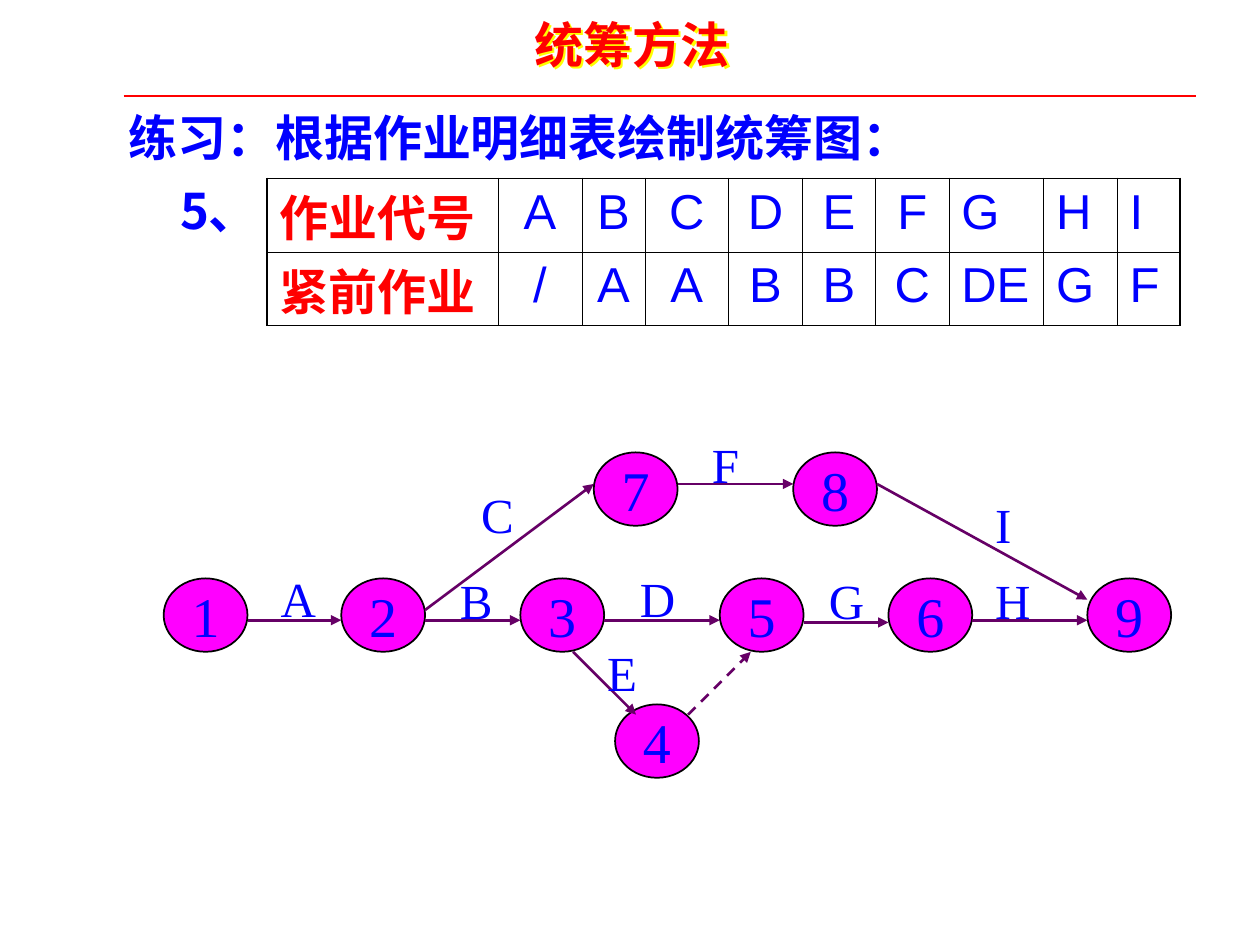
from lxml import etree
from pptx import Presentation
from pptx.dml.color import RGBColor
from pptx.enum.dml import MSO_LINE
from pptx.enum.shapes import MSO_CONNECTOR, MSO_SHAPE
from pptx.enum.text import MSO_ANCHOR, PP_ALIGN
from pptx.oxml import parse_xml
from pptx.oxml.ns import qn
from pptx.util import Cm, Pt

DASH = MSO_LINE.DASH
STRAIGHT = MSO_CONNECTOR.STRAIGHT
OVAL = MSO_SHAPE.OVAL
MIDDLE = MSO_ANCHOR.MIDDLE
LEFT, CENTER = PP_ALIGN.LEFT, PP_ALIGN.CENTER

RED, BLUE, BLACK, MAGENTA, PURPLE = "FF0000", "0000FF", "000000", "FF00FF", "660066"
CJK, SERIF, SANS = "Noto Sans CJK SC", "Times New Roman", "Arial"
NAMESPACE = 'xmlns:a="http://schemas.openxmlformats.org/drawingml/2006/main"'


def color(value):
    return RGBColor.from_string(value)


def write(frame, text, font=SERIF, size=28, fill=BLUE, bold=False, align=LEFT, wrap=False):
    frame.word_wrap = wrap
    para = frame.paragraphs[0]
    para.alignment = align
    span = para.add_run()
    span.text = text
    span.font.name = font
    span.font.size = Pt(size)
    span.font.bold = bold
    span.font.color.rgb = color(fill)
    # East Asian characters take their own typeface
    etree.SubElement(span.font._element, qn("a:ea")).set("typeface", CJK)
    return para


deck = Presentation()
deck.slide_width, deck.slide_height = Cm(25.4), Cm(19.05)
page = deck.slides.add_slide(deck.slide_layouts[6])

# Title, exercise heading and exercise number
headings = [
    ("统筹方法", 10.52, 0.16, 4.95, CJK, RED),
    ("练习：根据作业明细表绘制统筹图：", 2.34, 2.04, 17.2, SERIF, BLUE),
    ("5、", 3.38, 3.51, 2.92, CJK, BLUE),
]
for text, left, top, width, font, fill in headings:
    box = page.shapes.add_textbox(Cm(left), Cm(top), Cm(width), Cm(1.69))
    write(box.text_frame, text, font=font, fill=fill, bold=True)
    if text == "统筹方法":
        box._element.spPr.append(parse_xml(
            f'<a:effectLst {NAMESPACE}><a:outerShdw dist="25400" dir="2700000">'
            '<a:srgbClr val="FFFF00"/></a:outerShdw></a:effectLst>'))

# Activity table
rows = [
    ["作业代号", "A", "B", "C", "D", "E", "F", "G", "H", "I"],
    ["紧前作业", "/", "A", "A", "B", "B", "C", "DE", "G", "F"],
]
widths = [4.66, 1.69, 1.27, 1.69, 1.48, 1.48, 1.48, 1.91, 1.48, 1.27]
row_height = 1.48
last_row, last_column = len(rows) - 1, len(widths) - 1
table = page.shapes.add_table(len(rows), len(widths), Cm(5.38), Cm(3.6),
                              Cm(sum(widths)), Cm(row_height * len(rows))).table
table.first_row = table.horz_banding = False
for column, width in zip(table.columns, widths):
    column.width = Cm(width)
for r, row in enumerate(rows):
    table.rows[r].height = Cm(row_height)
    for c, text in enumerate(row):
        cell = table.cell(r, c)
        cell.fill.background()
        cell.margin_left = cell.margin_right = Cm(0.25)
        cell.margin_top = cell.margin_bottom = Cm(0.13)
        if c == 0:
            para = write(cell.text_frame, text, font=CJK, fill=RED, bold=True, wrap=True)
            para.line_spacing = Pt(28)
            cell.margin_top, cell.margin_bottom = Cm(0.47), Cm(0)
        else:
            write(cell.text_frame, text, font=SANS, align=CENTER if c < 7 else LEFT, wrap=True)
        # Outer edges are heavier than the inner grid
        edges = {"L": c == 0, "R": c == last_column, "T": r == 0, "B": r == last_row}
        for position, (side, outer) in enumerate(edges.items()):
            width = Pt(1.08 if outer else 0.45)
            cell._tc.get_or_add_tcPr().insert(position, parse_xml(
                f'<a:ln{side} {NAMESPACE} w="{width}"><a:solidFill>'
                f'<a:srgbClr val="{BLACK}"/></a:solidFill></a:ln{side}>'))

# Network events
node_width, node_height = 1.69, 1.48
upper, middle, lower = 9.12, 11.66, 14.2
nodes = {
    "1": (3.3, middle), "2": (6.88, middle), "3": (10.49, middle),
    "4": (12.4, lower), "5": (14.51, middle), "6": (17.91, middle),
    "7": (11.97, upper), "8": (15.99, upper), "9": (21.92, middle),
}
for number, (left, top) in nodes.items():
    node = page.shapes.add_shape(OVAL, Cm(left), Cm(top), Cm(node_width), Cm(node_height))
    node.shadow.inherit = False
    node.fill.solid()
    node.fill.fore_color.rgb = color(MAGENTA)
    node.line.color.rgb = color(BLACK)
    node.line.width = Pt(1)
    node.text_frame.vertical_anchor = MIDDLE
    write(node.text_frame, number, size=32, align=CENTER)

# Activities: start and end event, each with a fraction of the event's width and height
activities = [
    ("1", 1, 0.57, "2", 0, 0.57), ("2", 1, 0.57, "3", 0, 0.57),
    ("3", 1, 0.57, "5", 0, 0.57), ("5", 1, 0.6, "6", 0, 0.6),
    ("6", 1, 0.57, "9", 0, 0.57), ("2", 1, 0.43, "7", 0, 0.43),
    ("7", 1, 0.43, "8", 0, 0.43), ("8", 1, 0.43, "9", 0, 0.29),
    ("3", 0.63, 1, "4", 0.25, 0.14), ("4", 0.87, 0.14, "5", 0.37, 1),
]
title_rule = (2.49, 1.93, 24.1, 1.93)
lines = [(title_rule, RED, 1, False)]
for start, start_x, start_y, end, end_x, end_y in activities:
    points = (nodes[start][0] + start_x * node_width, nodes[start][1] + start_y * node_height,
              nodes[end][0] + end_x * node_width, nodes[end][1] + end_y * node_height)
    lines.append((points, PURPLE, 1.5, (start, end) == ("4", "5")))
for points, stroke, weight, dashed in lines:
    line = page.shapes.add_connector(STRAIGHT, *[Cm(value) for value in points])
    line.line.color.rgb = color(stroke)
    line.line.width = Pt(weight)
    if dashed:
        line.line.dash_style = DASH
    if points != title_rule:
        etree.SubElement(line.line._get_or_add_ln(), qn("a:tailEnd")).set("type", "triangle")
    etree.SubElement(line._element.spPr, qn("a:effectLst"))

# Activity names
names = [
    ("A", 5.41, 11.33), ("B", 9.02, 11.38), ("C", 9.45, 9.65),
    ("D", 12.65, 11.33), ("E", 11.99, 12.83), ("F", 14.1, 8.63),
    ("G", 16.46, 11.38), ("H", 19.81, 11.38), ("I", 19.81, 9.85),
]
for name, left, top in names:
    box = page.shapes.add_textbox(Cm(left), Cm(top), Cm(1.2), Cm(1.45))
    write(box.text_frame, name)

deck.save("out.pptx")
